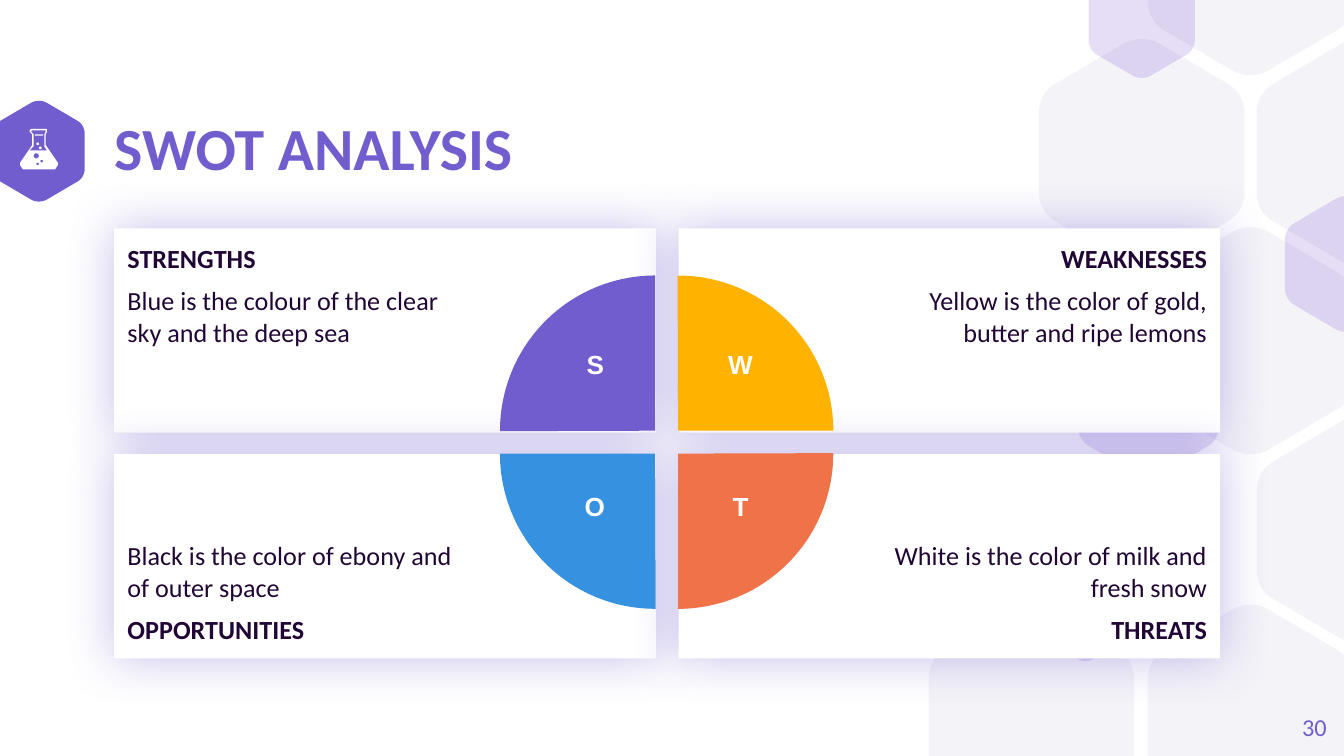
from math import cos, pi, sin
from lxml import etree
from pptx import Presentation
from pptx.dml.color import RGBColor
from pptx.enum.shapes import MSO_SHAPE
from pptx.enum.text import MSO_ANCHOR, PP_ALIGN
from pptx.oxml.ns import qn
from pptx.util import Inches, Pt

RECT, PIE, OVAL = MSO_SHAPE.RECTANGLE, MSO_SHAPE.PIE, MSO_SHAPE.OVAL
TOP, MID, BASE = MSO_ANCHOR.TOP, MSO_ANCHOR.MIDDLE, MSO_ANCHOR.BOTTOM
LEFT, MID_X, RIGHT = PP_ALIGN.LEFT, PP_ALIGN.CENTER, PP_ALIGN.RIGHT
HUES = {"main": "725DCF", "pale": "F4F3F8", "deep": "5322C9", "white": "FFFFFF",
        "ink": "210635", "gold": "FFB200", "coral": "F07249", "blue": "3691E0"}
WIDE, HIGH = 10, 5.625


def paint(shape, hue, alpha=100):
    shape.shadow.inherit = False
    shape.fill.solid()
    shape.fill.fore_color.rgb = RGBColor.from_string(HUES[hue])
    shape.line.fill.background()
    if alpha < 100:
        tint = shape.fill._xPr.find(".//" + qn("a:srgbClr"))
        etree.SubElement(tint, qn("a:alpha"), val=str(alpha * 1000))


def write(shape, lines, hue, size, align, anchor, pads, face="Calibri"):
    frame = shape.text_frame
    look = {"word_wrap": True, "vertical_anchor": anchor}
    for side, pad in zip(("left", "top", "right", "bottom"), pads):
        look["margin_" + side] = Inches(pad)
    for key, val in look.items():
        setattr(frame, key, val)
    for i, (text, bold, gaps) in enumerate(lines):
        para = frame.add_paragraph() if i else frame.paragraphs[0]
        para.alignment = align
        para.space_before, para.space_after = [Pt(gap) for gap in gaps]
        run = para.add_run()
        run.text = text
        for key, val in {"name": face, "size": Pt(size), "bold": bold}.items():
            setattr(run.font, key, val)
        run.font.color.rgb = RGBColor.from_string(HUES[hue])


deck = Presentation()
deck.slide_width, deck.slide_height = Inches(WIDE), Inches(HIGH)
slide = deck.slides.add_slide(deck.slide_layouts[5])
shapes = slide.shapes

side = [(0, 0.325), (0, 0.27), (0.033, 0.22), (0.085, 0.195)]
peak = [(0.418, 0.018), (0.47, -0.006), (0.53, -0.006), (0.582, 0.018)]
far = [(1 - x, y) for x, y in reversed(side)]
half = []
for curve in (side, peak, far):
    for i in range(9):
        t = i / 8
        parts = ((1 - t) ** 3, 3 * t * (1 - t) ** 2, 3 * t * t * (1 - t), t ** 3)
        half.append([sum(p * spot[k] for p, spot in zip(parts, curve)) for k in (0, 1)])
ring = half + [(1 - x, 1 - y) for x, y in half]

cells = [
    (-0.05, 0.75, 0.68, 0.75, "main", 100),
    (6.91, 4.5, 1.53, 1.69, "pale", 100), (8.54, 4.5, 1.53, 1.69, "pale", 100),
    (9.35, 0.29, 1.53, 1.69, "pale", 100), (8.54, -1.13, 1.53, 1.69, "pale", 100),
    (8.54, 1.69, 1.53, 1.69, "pale", 100), (7.73, 0.29, 1.53, 1.69, "pale", 100),
    (9.56, 1.46, 0.91, 1.01, "deep", 15), (7.8, 4.31, 0.55, 0.61, "deep", 15),
    (8.1, -0.29, 0.79, 0.87, "deep", 15), (8.02, 2.39, 1.05, 1.16, "deep", 15),
    (9.35, 3.1, 1.53, 1.69, "pale", 100),
]
for left, top, wide, high, hue, alpha in cells:
    dots = [(Inches(left + x * wide), Inches(min(max(top + y * high, 0), HIGH)))
            for x, y in ring]
    pen = shapes.build_freeform(*dots[0])
    pen.add_line_segments(dots[1:])
    paint(pen.convert_to_shape(), hue, alpha)

title = shapes.title
place = {"left": 0.85, "top": 0.91, "width": 6.57, "height": 0.43}
for key, val in place.items():
    setattr(title, key, Inches(val))
write(title, [("SWOT ANALYSIS", True, (0, 0))], "main", 32, LEFT, MID, (0, 0, 0, 0))
title.text_frame.paragraphs[0].line_spacing = 0.9

page = shapes.add_textbox(Inches(9.27), Inches(5.19), Inches(0.6), Inches(0.43))
write(page, [("30", False, (0, 0))], "main", 13, RIGHT, MID, (0, 0, 0, 0))

cards = [
    ("STRENGTHS", "Blue is the colour of the clear sky and the deep sea"),
    ("WEAKNESSES", "Yellow is the color of gold, butter and ripe lemons"),
    ("OPPORTUNITIES", "Black is the color of ebony and of outer space"),
    ("THREATS", "White is the color of milk and fresh snow"),
]
for i, (head, body) in enumerate(cards):
    row, col = divmod(i, 2)
    card = shapes.add_shape(RECT, Inches(0.85 + 4.2 * col), Inches(1.7 + 1.68 * row),
                            Inches(4.03), Inches(1.52))
    paint(card, "white")
    glow = etree.SubElement(card._element.spPr.find(qn("a:effectLst")), qn("a:outerShdw"),
                            blurRad=str(Pt(27)), dist="0", dir="0", algn="ctr", rotWithShape="0")
    tint = etree.SubElement(glow, qn("a:srgbClr"), val=HUES["main"])
    etree.SubElement(tint, qn("a:alpha"), val="40000")
    pair = [(head, True), (body, False)]
    if row:
        pair.reverse()
    lines = [(*pair[0], (0, 0)), (*pair[1], (6, 6))]
    pads = (1.5, 0.1, 0.1, 0.1) if col else (0.1, 0.1, 1.5, 0.1)
    write(card, lines, "ink", 14, RIGHT if col else LEFT, BASE if row else TOP, pads)

wedges = [(3.72, 2.05, "main"), (3.89, 2.05, "gold"),
          (3.89, 2.22, "coral"), (3.72, 2.22, "blue")]
for i, (left, top, hue) in enumerate(wedges):
    wedge = shapes.add_shape(PIE, Inches(left), Inches(top), Inches(2.31), Inches(2.31))
    wedge.adjustments[0], wedge.adjustments[1] = 107.89, 162
    wedge.rotation = 90 * i
    paint(wedge, hue)

marks = [("S", 4.26, 2.54, 0.34, 0.44), ("W", 5.23, 2.54, 0.56, 0.42),
         ("O", 4.22, 3.6, 0.41, 0.44), ("T", 5.34, 3.6, 0.34, 0.42)]
for mark, *box in marks:
    label = shapes.add_textbox(*[Inches(val) for val in box])
    write(label, [(mark, True, (0, 0))], "white", 14, MID_X, TOP,
          (0.1, 0.05, 0.1, 0.05), "Arial")

flask = [
    [(0.23, 0.96), (0.35, 0.96), (0.35, 0.98), (0.34, 1), (0.34, 1.08), (0.43, 1.21),
     (0.43, 1.23), (0.41, 1.26), (0.17, 1.26), (0.15, 1.23), (0.15, 1.21),
     (0.24, 1.08), (0.24, 1), (0.22, 0.98), (0.22, 0.97)],
    [(0.24, 0.97), (0.34, 0.97), (0.34, 0.98), (0.33, 1), (0.33, 1.09), (0.35, 1.12),
     (0.22, 1.12), (0.25, 1.09), (0.25, 1), (0.23, 0.98)],
]
for x, y, r in [(0.27, 1.16, 0.02), (0.31, 1.2, 0.01), (0.28, 1.22, 0.01)]:
    flask.append([(x + r * cos(k * pi / 6), y + r * sin(k * pi / 6)) for k in range(12)])
pen = None
for loop in flask:
    dots = [(Inches(x), Inches(y)) for x, y in loop]
    if pen:
        pen.move_to(*dots[0])
    else:
        pen = shapes.build_freeform(*dots[0])
    pen.add_line_segments(dots[1:])
paint(pen.convert_to_shape(), "white")
for kind, *box in [(OVAL, 0.29, 1.09, 0.02, 0.02), (RECT, 0.26, 1, 0.06, 0.01),
                   (OVAL, 0.27, 1.06, 0.02, 0.02)]:
    paint(shapes.add_shape(kind, *[Inches(val) for val in box]), "white")

deck.save("out.pptx")
